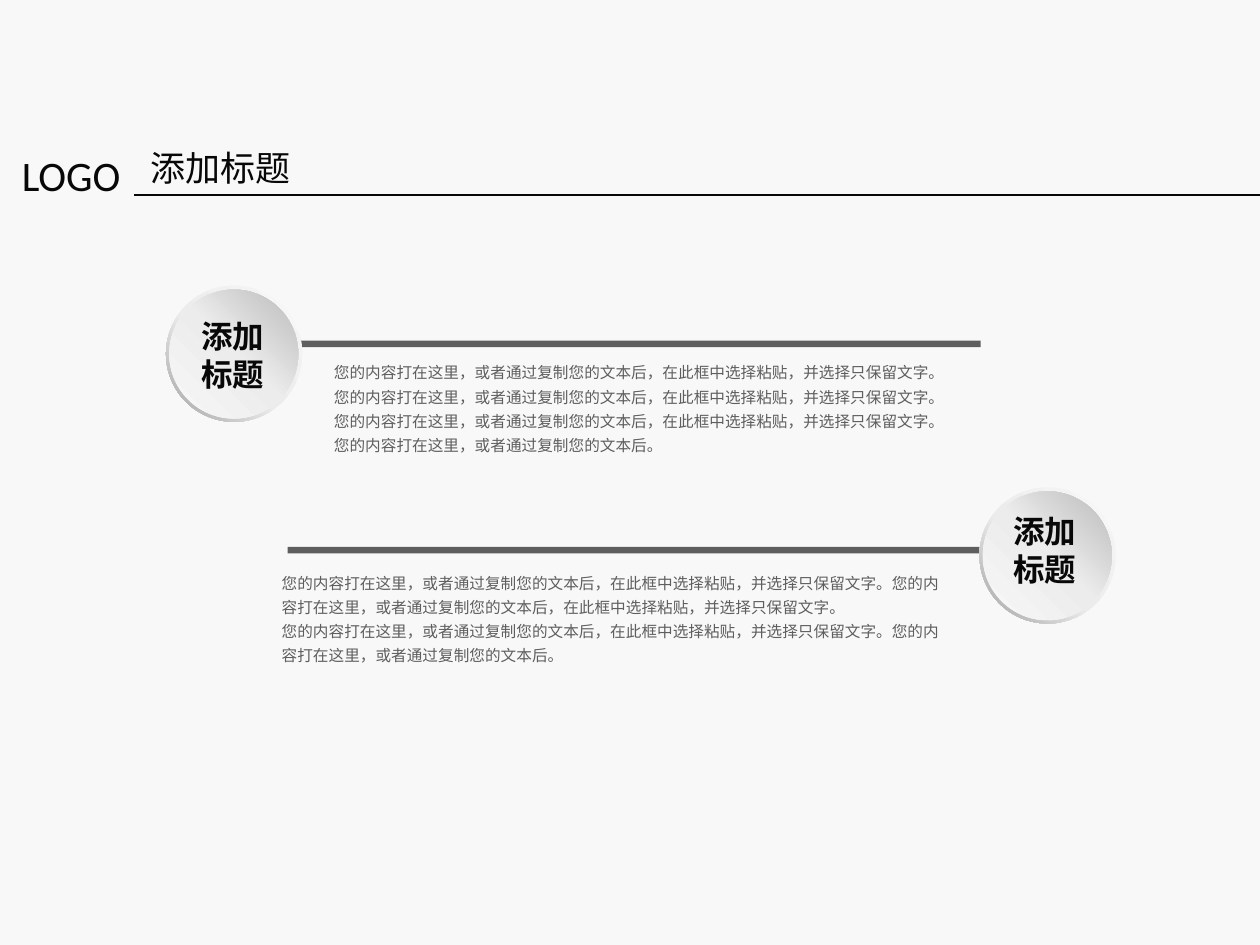
from copy import deepcopy
from dataclasses import dataclass

from lxml import etree
from pptx import Presentation
from pptx import util as u
from pptx.dml import color
from pptx.enum import shapes, text
from pptx.oxml import ns

INK, GREY, PAPER = "080808", "5E5E5E", "F8F8F8"
CJK_FONT = "Noto Sans CJK SC"
SENTENCE = "您的内容打在这里，或者通过复制您的文本后，在此框中选择粘贴，并选择只保留文字。"
SHORT_SENTENCE = "您的内容打在这里，或者通过复制您的文本后。"
BODY = [SENTENCE * 2, SENTENCE + SHORT_SENTENCE]

Place = tuple[float, float, float, float]
Stops = list[tuple[float, str]]

RIM_STOPS: Stops = [(0, PAPER), (0.55, "ECECEC"), (1, "A1A1A1")]
FACE_STOPS: Stops = [(0, PAPER), (0.51, "ECECEC"), (1, "BABABA")]


@dataclass
class Section:
    """One bar with its body text and round badge; lengths in centimetres."""
    bar: Place
    body: Place
    badge: tuple[float, float]
    label: Place


SECTIONS = [
    Section((4.35, 5.15, 10.48, 0.1), (4.95, 5.36, 9.22, 1.98),
            (2.51, 4.32), (2.9, 4.72, 1.4, 1.3)),
    Section((4.35, 8.27, 10.68, 0.1), (4.16, 8.54, 10.31, 1.6),
            (14.81, 7.37), (15.17, 7.67, 1.4, 1.3)),
]


def rgb(value: str) -> color.RGBColor:
    return color.RGBColor.from_string(value)


def cm(place: Place) -> list[u.Cm]:
    return [u.Cm(length) for length in place]


def add_text(parent, place: Place, lines: list[str], *, size: float, font: str,
             fill: str = INK, bold: bool = False,
             spacing: float = 1.0, inset: tuple[float, float] = (0.25, 0.13)) -> None:
    frame = parent.add_textbox(*cm(place)).text_frame
    frame.word_wrap = True
    frame.auto_size = text.MSO_AUTO_SIZE.SHAPE_TO_FIT_TEXT
    frame.margin_left = frame.margin_right = u.Cm(inset[0])
    frame.margin_top = frame.margin_bottom = u.Cm(inset[1])
    for index, line in enumerate(lines):
        para = frame.add_paragraph() if index else frame.paragraphs[0]
        para.line_spacing = spacing
        span = para.add_run()
        span.text = line
        span.font.size = u.Pt(size)
        span.font.bold = bold
        span.font.color.rgb = rgb(fill)
        span.font.name = font
        east_asian = etree.SubElement(span.font._element, ns.qn("a:ea"))
        east_asian.set("typeface", CJK_FONT)


def add_plain_shape(parent, kind: shapes.MSO_SHAPE, place: Place):
    """Add a preset shape without outline or shadow."""
    shape = parent.add_shape(kind, *cm(place))
    shape.shadow.inherit = False
    shape.line.fill.background()
    return shape


def fill_gradient(shape, stops: Stops, angle: float) -> None:
    """Fill with three stops; the angle runs counter-clockwise."""
    shape.fill.gradient()
    shape.fill.gradient_angle = angle
    stop_list = shape._element.spPr.find(".//" + ns.qn("a:gsLst"))
    stop_list.append(deepcopy(stop_list[-1]))
    for stop, (position, value) in zip(shape.fill.gradient_stops, stops):
        stop.position = position
        stop.color.rgb = rgb(value)


def add_badge(page, section: Section) -> None:
    left, top = section.badge
    group = page.shapes.add_group_shape().shapes
    rim = add_plain_shape(group, shapes.MSO_SHAPE.DONUT, (left, top, 2.06, 2.06))
    rim.adjustments[0] = 0.05
    fill_gradient(rim, RIM_STOPS, 225)
    face = add_plain_shape(group, shapes.MSO_SHAPE.OVAL,
                           (left + 0.05, top + 0.06, 1.95, 1.95))
    fill_gradient(face, FACE_STOPS, 45)
    add_text(group, section.label, ["添加", "标题"], size=13.5, font="Arial",
             bold=True, inset=(0.15, 0.08))


def add_header(page) -> None:
    add_text(page.shapes, (2.03, 2.09, 7.09, 0.89), ["添加标题"], size=15, font=CJK_FONT)
    rule = page.shapes.add_connector(shapes.MSO_CONNECTOR.STRAIGHT,
                                     *cm((2.03, 2.95, 19.05, 2.95)))
    rule.line.color.rgb = rgb(INK)
    rule.line.width = u.Pt(0.75)
    etree.SubElement(rule._element.spPr, ns.qn("a:effectLst"))
    add_text(page.shapes, (0.08, 2.13, 2.11, 1.02), ["LOGO"], size=18, font="Calibri")


def main() -> None:
    deck = Presentation()
    deck.slide_width, deck.slide_height = u.Cm(19.05), u.Cm(14.29)
    page = deck.slides.add_slide(deck.slide_layouts[6])
    page.background.fill.solid()
    page.background.fill.fore_color.rgb = rgb(PAPER)

    add_header(page)
    for section in SECTIONS:
        bar = add_plain_shape(page.shapes, shapes.MSO_SHAPE.RECTANGLE, section.bar)
        bar.fill.solid()
        bar.fill.fore_color.rgb = rgb(GREY)
        add_text(page.shapes, section.body, BODY, size=6.7, font="Arial", fill=GREY,
                 spacing=1.3, inset=(0.1, 0.05))
        add_badge(page, section)
    deck.save("out.pptx")


if __name__ == "__main__":
    main()
